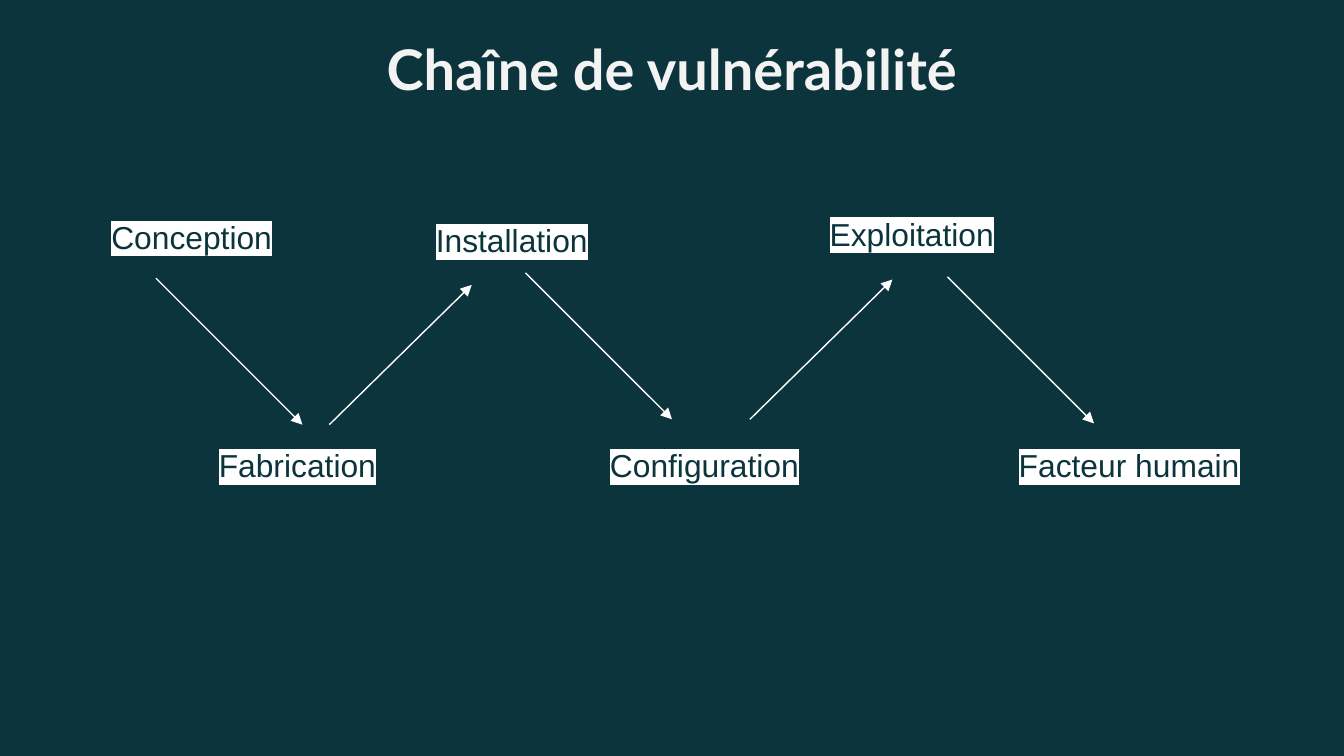
from lxml import etree
from pptx import Presentation
from pptx import util as u
from pptx.dml.color import RGBColor
from pptx.enum import shapes, text
from pptx.oxml import ns

TEAL = RGBColor(0x0C, 0x34, 0x3D)
WHITE = RGBColor(0xFF, 0xFF, 0xFF)
PALE = RGBColor(0xF3, 0xF3, 0xF3)

deck = Presentation()
deck.slide_width = u.Inches(10)
deck.slide_height = deck.slide_width * 9 // 16
cell = deck.slide_width / 100

slide = deck.slides.add_slide(deck.slide_layouts[5])
slide.background.fill.solid()
slide.background.fill.fore_color.rgb = TEAL


def place(box, left, top, width, height):
    box.left, box.top, box.width, box.height = (
        int(n * cell) for n in (left, top, width, height))


def write(box, words, size, face, color):
    frame = box.text_frame
    frame.text = words
    frame.word_wrap = True
    frame.vertical_anchor = text.MSO_ANCHOR.TOP
    frame.margin_left = frame.margin_right = u.Inches(0.1)
    frame.margin_top = frame.margin_bottom = u.Inches(0.1)
    run = frame.paragraphs[0].runs[0]
    run.font.size, run.font.name = u.Pt(size), face
    run.font.color.rgb = color
    return run


heading = slide.shapes.title
place(heading, 7.85, 1.6, 84.3, 6.3)
write(heading, "Chaîne de vulnérabilité", 30, "Lato", PALE).font.bold = True
heading.text_frame.auto_size = text.MSO_AUTO_SIZE.NONE
heading.text_frame.paragraphs[0].alignment = text.PP_ALIGN.CENTER

low_row = 32.2
stages = [
    ("Conception", 7.3, 15.2),
    ("Fabrication", 15.3, low_row),
    ("Installation", 31.45, 15.45),
    ("Configuration", 44.4, low_row),
    ("Exploitation", 60.75, 14.95),
    ("Facteur humain", 74.82, low_row),
]
for stage, left, top in stages:
    label = slide.shapes.add_textbox(0, 0, 0, 0)
    place(label, left, top, 22.7, 4.9)
    run = write(label, stage, 17, "Arial", TEAL)
    label.text_frame.auto_size = text.MSO_AUTO_SIZE.SHAPE_TO_FIT_TEXT
    highlight = etree.Element(ns.qn("a:highlight"))
    etree.SubElement(highlight, ns.qn("a:srgbClr"), val=str(WHITE))
    run.font.fill._xPr.find(ns.qn("a:solidFill")).addnext(highlight)

fall, rise = (10.9, 10.9), (10.6, -10.4)
steps = [
    (11.6, 20.7, fall),
    (24.5, 31.6, rise),
    (39.1, 20.3, fall),
    (55.8, 31.2, rise),
    (70.5, 20.6, fall),
]
for x, y, (across, down) in steps:
    ends = (int(n * cell) for n in (x, y, x + across, y + down))
    arrow = slide.shapes.add_connector(shapes.MSO_CONNECTOR.STRAIGHT, *ends)
    arrow.line.color.rgb = WHITE
    arrow.line.width = u.Pt(0.75)
    etree.SubElement(arrow.line._get_or_add_ln(), ns.qn("a:tailEnd"), type="triangle")
    etree.SubElement(arrow._element.spPr, ns.qn("a:effectLst"))

deck.save("out.pptx")
